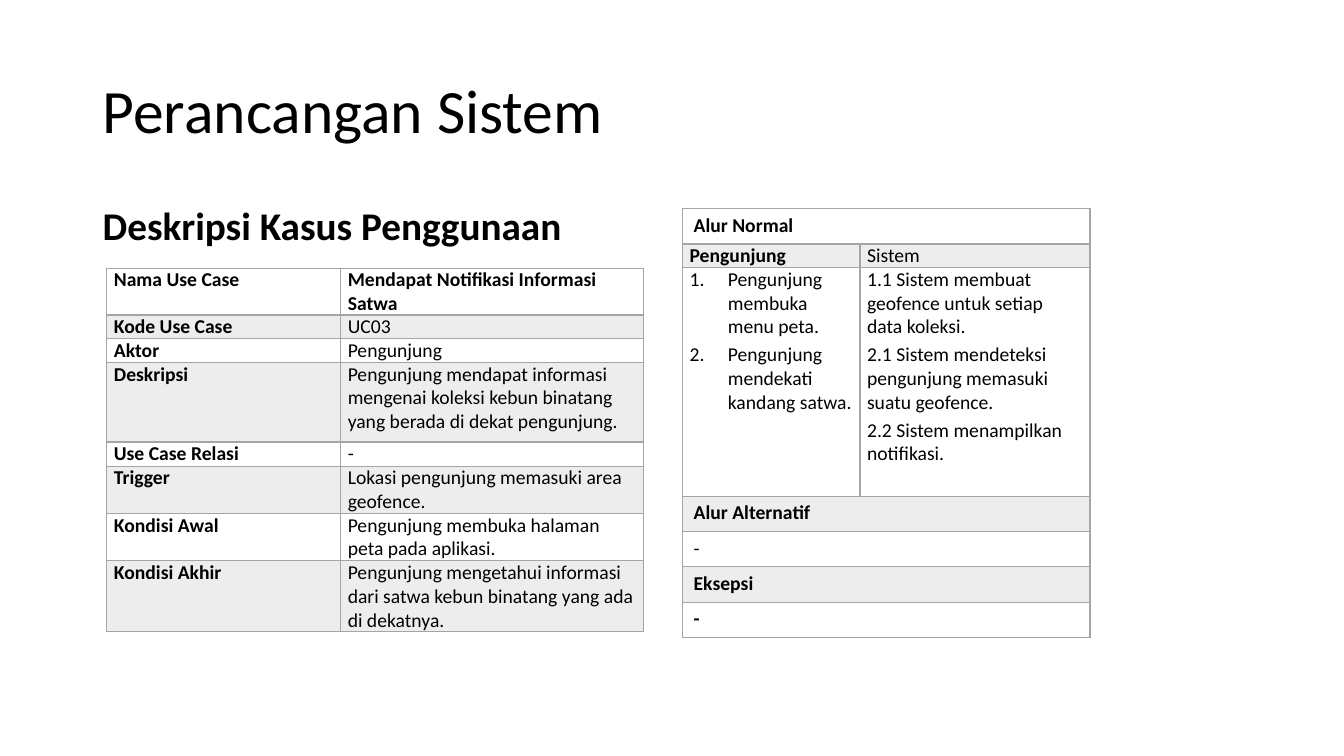
"""Build the use case description slide with its two tables."""
import pptx
import pptx.dml.color
import pptx.enum.text
import pptx.oxml
import pptx.oxml.ns
import pptx.util
import lxml.etree

Inches = pptx.util.Inches
Pt = pptx.util.Pt

FONT = "Calibri"
BLACK, WHITE, BAND, RULE = "000000", "FFFFFF", "EDEDED", "A5A5A5"
BOLD, PLAIN, NUMBERED = "bold", "plain", "numbered"

HEADINGS = [
    ("Perancangan Sistem", (0.92, 0.4, 11.5, 1.45), 44, False, "MIDDLE"),
    ("Deskripsi Kasus Penggunaan", (0.92, 2, 11.5, 0.6), 28, True, "TOP"),
]

DETAILS = [
    ("Kode Use Case", "UC03"),
    ("Aktor", "Pengunjung"),
    ("Deskripsi", "Pengunjung mendapat informasi mengenai koleksi kebun binatang "
                  "yang berada di dekat pengunjung."),
    ("Use Case Relasi", "-"),
    ("Trigger", "Lokasi pengunjung memasuki area geofence."),
    ("Kondisi Awal", "Pengunjung membuka halaman peta pada aplikasi."),
    ("Kondisi Akhir", "Pengunjung mengetahui informasi dari satwa kebun binatang "
                      "yang ada di dekatnya."),
]
DESCRIPTION_ROWS = [
    [(BOLD, ["Nama Use Case"]), (BOLD, ["Mendapat Notifikasi Informasi Satwa"])],
] + [[(BOLD, [label]), (PLAIN, [value])] for label, value in DETAILS]

FLOW_ROWS = [
    [(BOLD, ["Alur Normal"])],
    [(BOLD, ["Pengunjung"]), (PLAIN, ["Sistem"])],
    [(NUMBERED, ["Pengunjung membuka menu peta.",
                 "Pengunjung mendekati kandang satwa."]),
     (PLAIN, ["1.1 Sistem membuat geofence untuk setiap data koleksi.",
              "2.1 Sistem mendeteksi pengunjung memasuki suatu geofence.",
              "2.2 Sistem menampilkan notifikasi."])],
    [(BOLD, ["Alur Alternatif"])],
    [(PLAIN, ["-"])],
    [(BOLD, ["Eksepsi"])],
    [(BOLD, ["-"])],
]

TABLES = [
    (DESCRIPTION_ROWS, (1.06, 2.66), (2.32, 3),
     (0.4, 0.2, 0.21, 0.79, 0.24, 0.47, 0.47, 0.59)),
    (FLOW_ROWS, (6.77, 2.07), (1.76, 2.28),
     (0.35, 0.23, 2.27, 0.35, 0.35, 0.35, 0.35)),
]


def color(value):
    return pptx.dml.color.RGBColor.from_string(value)


def add_text(para, text, size, bold):
    span = para.add_run()
    span.text = text
    span.font.name = FONT
    span.font.size = Pt(size)
    span.font.bold = bold
    span.font.color.rgb = color(BLACK)


def add_heading(page, text, place, size, bold, anchor):
    box = page.shapes.add_textbox(*map(Inches, place))
    frame = box.text_frame
    frame.word_wrap = True
    frame.vertical_anchor = getattr(pptx.enum.text.MSO_ANCHOR, anchor)
    para = frame.paragraphs[0]
    para.line_spacing = 0.9
    add_text(para, text, size, bold)


def set_borders(cell, widths):
    properties = cell._tc.get_or_add_tcPr()
    for position, (side, width) in enumerate(widths.items()):
        line = lxml.etree.Element(pptx.oxml.ns.qn("a:" + side), w=str(Pt(width)))
        fill = lxml.etree.SubElement(line, pptx.oxml.ns.qn("a:solidFill"))
        lxml.etree.SubElement(fill, pptx.oxml.ns.qn("a:srgbClr"), val=RULE)
        properties.insert(position, line)


def number_paragraph(para):
    properties = para._p.get_or_add_pPr()
    properties.set("marL", str(Inches(0.38)))
    properties.set("indent", str(-Inches(0.38)))
    lxml.etree.SubElement(properties, pptx.oxml.ns.qn("a:buFont"), typeface="+mj-lt")
    lxml.etree.SubElement(properties, pptx.oxml.ns.qn("a:buAutoNum"), type="arabicPeriod")


def fill_cell(cell, style, lines, merged):
    cell.margin_left = cell.margin_right = Inches(0.11 if merged else 0.07)
    cell.margin_top = cell.margin_bottom = Inches(0.05 if merged else 0)
    frame = cell.text_frame
    for index, text in enumerate(lines):
        para = frame.add_paragraph() if index else frame.paragraphs[0]
        if style == NUMBERED:
            number_paragraph(para)
        if index:
            para.space_before = Pt(2)
        para.space_after = Pt(0.8)
        add_text(para, text, 14, style == BOLD)


def add_table(page, rows, corner, widths, heights):
    size = (sum(widths), sum(heights))
    frame = page.shapes.add_table(len(rows), len(widths), *map(Inches, corner + size))
    table = frame.table
    table.first_row = table.horz_banding = False
    for column, width in zip(table.columns, widths):
        column.width = Inches(width)
    for number, (entries, height) in enumerate(zip(rows, heights)):
        table.rows[number].height = Inches(height)
        for index in range(len(widths)):
            cell = table.cell(number, index)
            cell.fill.solid()
            cell.fill.fore_color.rgb = color(BAND if number % 2 else WHITE)
            set_borders(cell, {"lnL": 1, "lnR": 1, "lnT": 2 if number == 1 else 1,
                               "lnB": 2 if number == 0 else 1})
        merged = len(entries) < len(widths)
        if merged:
            table.cell(number, 0).merge(table.cell(number, len(widths) - 1))
        for index, (style, lines) in enumerate(entries):
            fill_cell(table.cell(number, index), style, lines, merged)


def main():
    deck = pptx.Presentation()
    deck.slide_width, deck.slide_height = Inches(13.33), Inches(7.5)
    page = deck.slides.add_slide(deck.slide_layouts[6])
    for heading in HEADINGS:
        add_heading(page, *heading)
    for table in TABLES:
        add_table(page, *table)
    deck.save("out.pptx")


if __name__ == "__main__":
    main()
